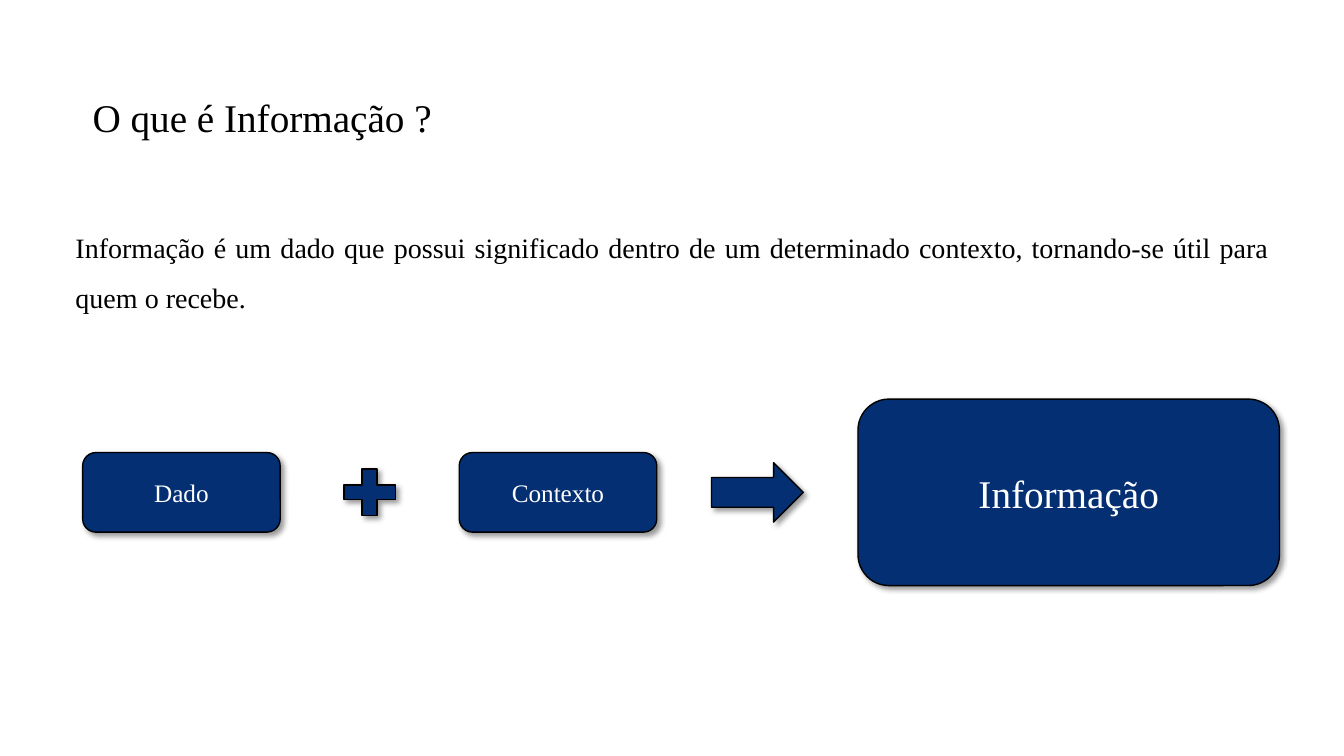
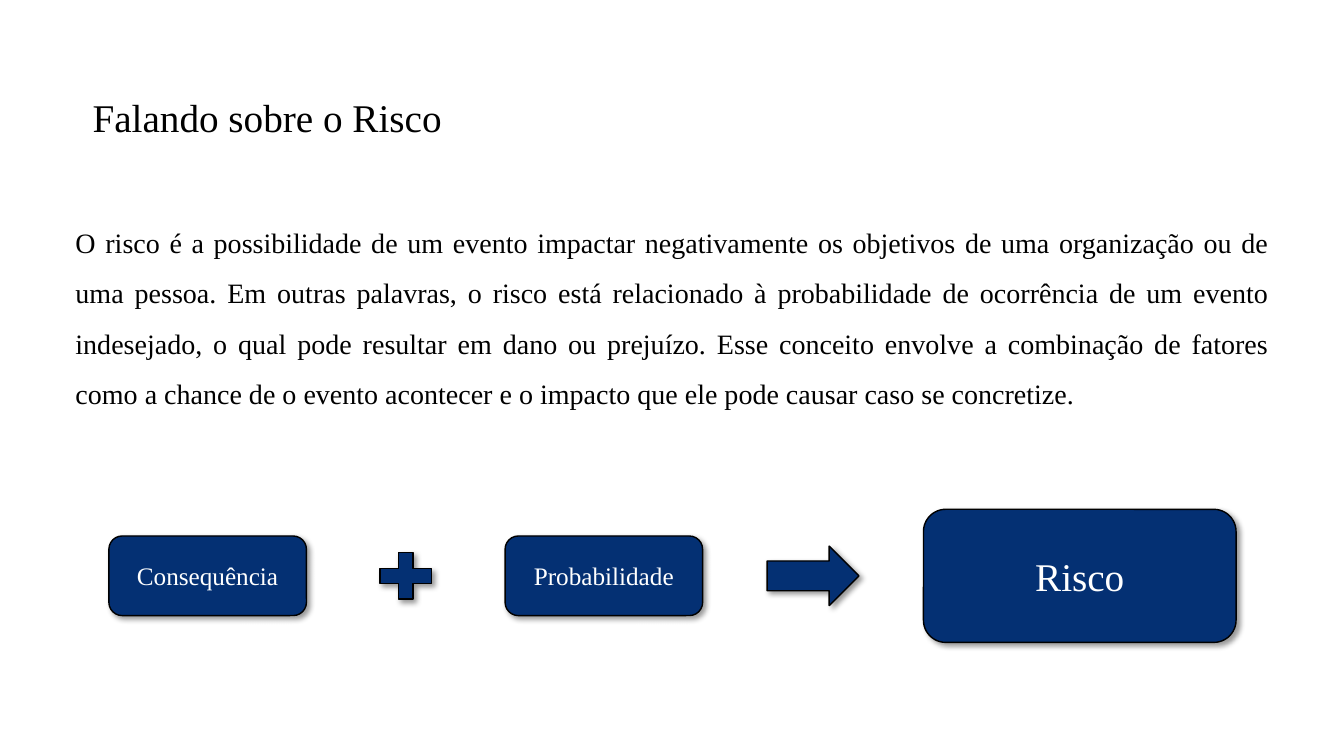
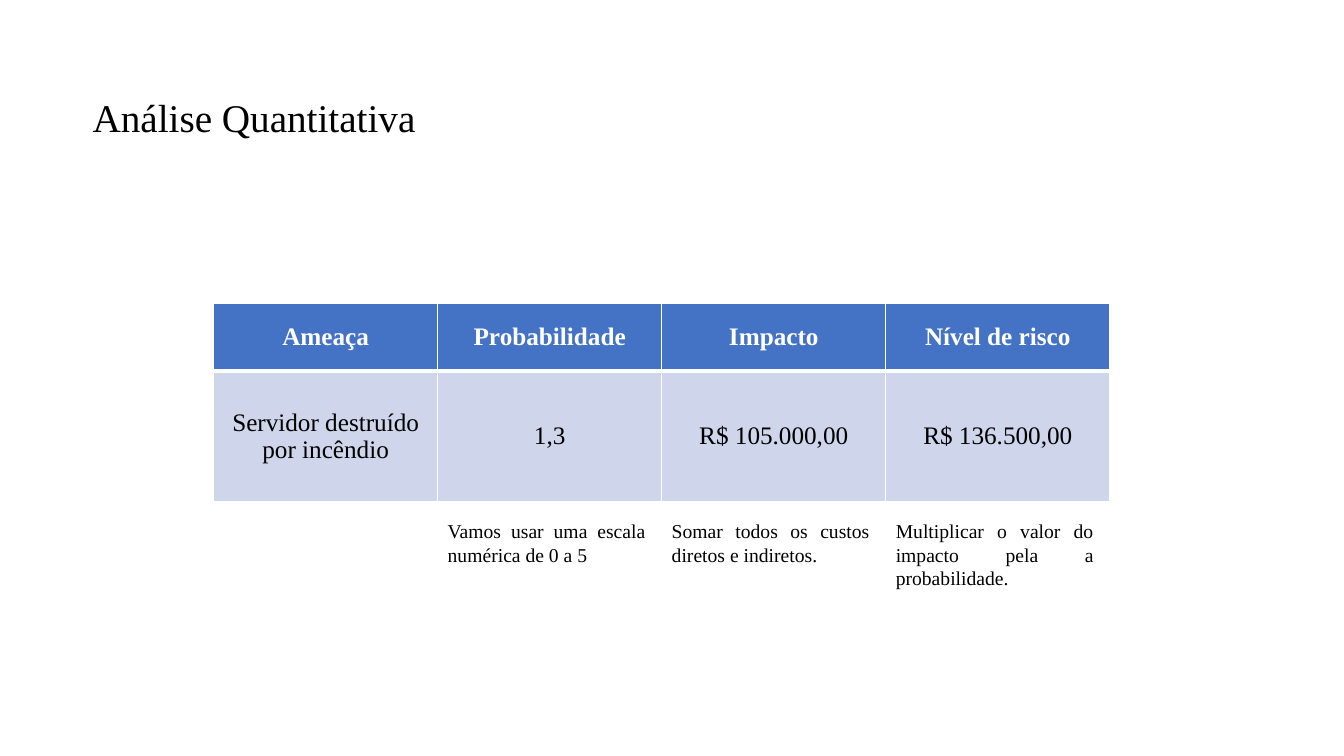
from dataclasses import dataclass

from lxml.etree import SubElement
from pptx import Presentation
from pptx.dml.color import RGBColor as Color
from pptx.enum.shapes import MSO_SHAPE as Shape
from pptx.enum.text import MSO_ANCHOR as Anchor, MSO_AUTO_SIZE as AutoSize, PP_ALIGN as Align
from pptx.oxml.ns import qn
from pptx.util import Inches, Pt


@dataclass(frozen=True)
class Theme:
    font: str = "Times New Roman"
    ink: str = "000000"
    paper: str = "FFFFFF"
    navy: str = "043073"
    header: str = "4472C4"
    band: str = "CFD5EA"
    heading: int = 28
    body: int = 20
    label: int = 18
    note: int = 14


THEME = Theme()

# Lengths are percentages of the slide's width and height.
TITLE = (6.15, 12.4, 77.2, 6.53)
BODY_LEFT, BODY_WIDTH = 4.88, 90.3
TERM = (14.7, 10.53)
PLUS = (5.18, 8.4)
ARROW = (6.83, 7.87)


class Slides:
    def __init__(self, theme):
        self.theme = theme
        self.deck = Presentation()
        self.deck.slide_width = Inches(13.33)
        self.deck.slide_height = Inches(7.5)
        self.page = None

    def across(self, share):
        return round(self.deck.slide_width * share / 100)

    def down(self, share):
        return round(self.deck.slide_height * share / 100)

    def place(self, left, top, width, height):
        return self.across(left), self.down(top), self.across(width), self.down(height)

    def add_words(self, frame, words, size, color, bold=False, **layout):
        para = frame.paragraphs[0]
        for name, value in layout.items():
            setattr(para, name, value)
        span = para.add_run()
        span.text = words
        style = {"name": self.theme.font, "size": Pt(size), "bold": bold}
        for name, value in style.items():
            setattr(span.font, name, value)
        span.font.color.rgb = Color.from_string(color)

    def text(self, place, words, size, fit=AutoSize.NONE, **layout):
        frame = self.page.shapes.add_textbox(*self.place(*place)).text_frame
        frame.word_wrap = True
        frame.auto_size = fit
        self.add_words(frame, words, size, self.theme.ink, **layout)

    def start(self, title):
        """Add a blank page with its title."""
        self.page = self.deck.slides.add_slide(self.deck.slide_layouts[6])
        self.text(TITLE, title, self.theme.heading, line_spacing=0.9)

    def body(self, top, height, words):
        self.text((BODY_LEFT, top, BODY_WIDTH, height), words, self.theme.body,
                  alignment=Align.JUSTIFY, line_spacing=1.5, space_before=Pt(10))

    def block(self, kind, place, label="", size=0):
        shape = self.page.shapes.add_shape(kind, *self.place(*place))
        shape.fill.solid()
        shape.fill.fore_color.rgb = Color.from_string(self.theme.navy)
        shape.line.color.rgb = Color.from_string(self.theme.ink)
        shape.line.width = Pt(1)
        self.cast_shadow(shape)
        if label:
            frame = shape.text_frame
            frame.vertical_anchor = Anchor.MIDDLE
            self.add_words(frame, label, size, self.theme.paper, alignment=Align.CENTER)

    def cast_shadow(self, shape):
        shape.shadow.inherit = False
        effects = shape.element.spPr.find(qn("a:effectLst"))
        outer = SubElement(effects, qn("a:outerShdw"), blurRad=str(Pt(4)), dist=str(Pt(3)),
                           dir=str(45 * 60000), algn="tl", rotWithShape="0")
        tint = SubElement(outer, qn("a:srgbClr"), val=self.theme.ink)
        SubElement(tint, qn("a:alpha"), val="40000")

    def equation(self, left, right, middle, terms, result, result_size):
        """Spread 'term + term -> result' from left to right with equal gaps."""
        first, second = terms
        label, heading = self.theme.label, self.theme.heading
        parts = [
            (Shape.ROUNDED_RECTANGLE, TERM, first, label),
            (Shape.MATH_PLUS, PLUS, "", label),
            (Shape.ROUNDED_RECTANGLE, TERM, second, label),
            (Shape.RIGHT_ARROW, ARROW, "", label),
            (Shape.ROUNDED_RECTANGLE, result_size, result, heading),
        ]
        used = sum(width for _, (width, _), _, _ in parts)
        gap = (right - left - used) / (len(parts) - 1)
        for kind, (width, height), words, size in parts:
            self.block(kind, (left, middle - height / 2, width, height), words, size)
            left += width + gap

    def table(self, left, top, column, heights, rows):
        place = self.place(left, top, column * len(rows[0]), sum(heights))
        grid = self.page.shapes.add_table(len(rows), len(rows[0]), *place).table
        for line in grid.columns:
            line.width = self.across(column)
        for index, (height, words) in enumerate(zip(heights, rows)):
            grid.rows[index].height = self.down(height)
            for cell, text in zip(grid.rows[index].cells, words):
                self.fill_cell(cell, text, index == 0)

    def fill_cell(self, cell, text, is_header):
        theme = self.theme
        fill, ink = (theme.header, theme.paper) if is_header else (theme.band, theme.ink)
        top, bottom = (1, 3) if is_header else (3, 1)
        for side, width in {"lnL": 1, "lnR": 1, "lnT": top, "lnB": bottom}.items():
            edge = SubElement(cell._tc.get_or_add_tcPr(), qn(f"a:{side}"), w=str(Pt(width)))
            SubElement(SubElement(edge, qn("a:solidFill")), qn("a:srgbClr"), val=theme.paper)
        cell.fill.solid()
        cell.fill.fore_color.rgb = Color.from_string(fill)
        cell.vertical_anchor = Anchor.MIDDLE
        self.add_words(cell.text_frame, text, theme.label, ink, is_header,
                       alignment=Align.CENTER)

    def note(self, left, top, width, height, words):
        self.text((left, top, width, height), words, self.theme.note,
                  AutoSize.SHAPE_TO_FIT_TEXT, alignment=Align.JUSTIFY)


def information(slides):
    slides.start("O que é Informação ?")
    slides.body(27.6, 16.53, "Informação é um dado que possui significado dentro de um "
                "determinado contexto, tornando-se útil para quem o recebe.")
    slides.equation(6.15, 95.2, 65.13, ("Dado", "Contexto"), "Informação", (31.36, 24.67))


def risk(slides):
    slides.start("Falando sobre o Risco")
    slides.body(26.93, 33.73, "O risco é a possibilidade de um evento impactar negativamente "
                "os objetivos de uma organização ou de uma pessoa. Em outras palavras, o risco "
                "está relacionado à probabilidade de ocorrência de um evento indesejado, o qual "
                "pode resultar em dano ou prejuízo. Esse conceito envolve a combinação de "
                "fatores como a chance de o evento acontecer e o impacto que ele pode causar "
                "caso se concretize.")
    slides.equation(8.1, 91.97, 76.17, ("Consequência", "Probabilidade"), "Risco", (23.26, 17.6))


def quantitative_analysis(slides):
    left, column = 15.9, 16.67
    slides.start("Análise Quantitativa")
    slides.table(left, 40.13, column, (8.93, 17.33), [
        ("Ameaça", "Probabilidade", "Impacto", "Nível de risco"),
        ("Servidor destruído por incêndio", "1,3", "R$ 105.000,00", "R$ 136.500,00"),
    ])
    notes = [
        ("Vamos usar uma escala numérica de 0 a 5", 7.6),
        ("Somar todos os custos diretos e indiretos.", 7.6),
        ("Multiplicar o valor do impacto pela a probabilidade.", 10.8),
    ]
    for index, (words, height) in enumerate(notes, start=1):
        slides.note(left + index * column, 68, 16.2, height, words)


def main():
    slides = Slides(THEME)
    for build in (information, risk, quantitative_analysis):
        build(slides)
    slides.deck.save("out.pptx")


if __name__ == "__main__":
    main()
